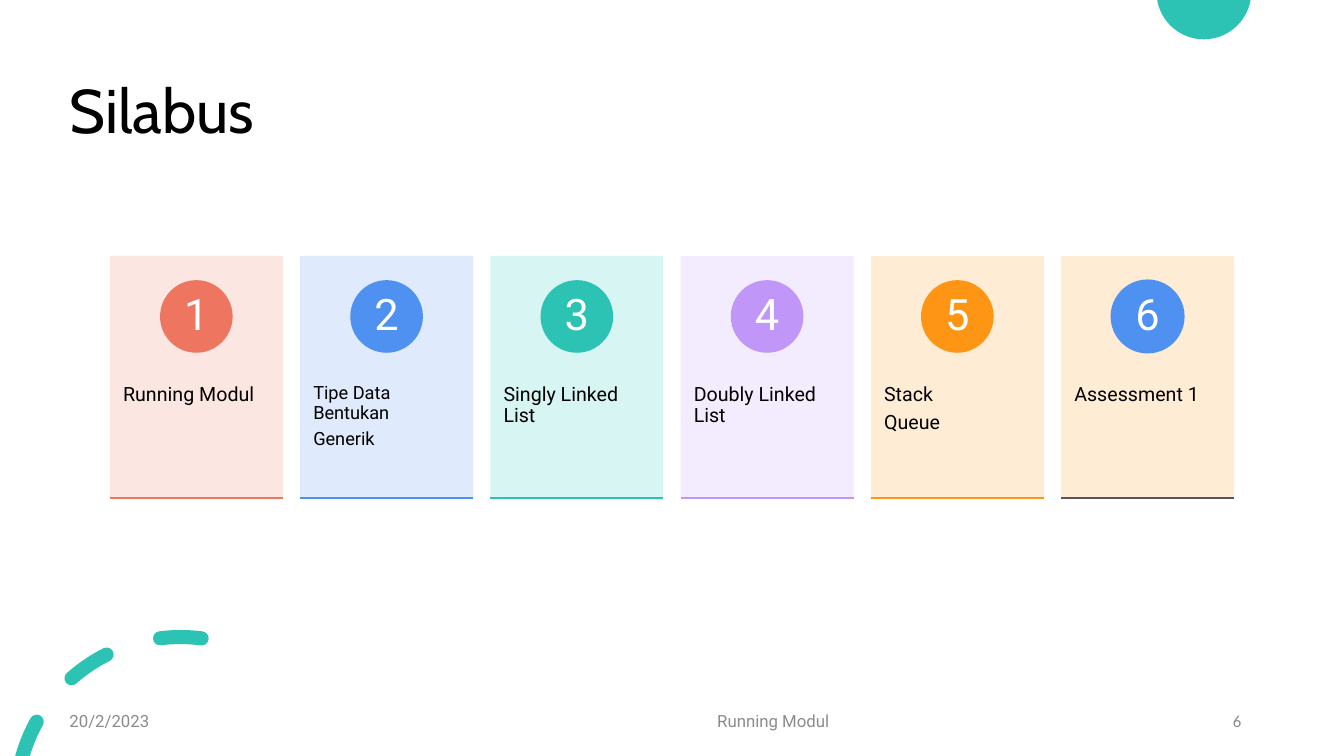
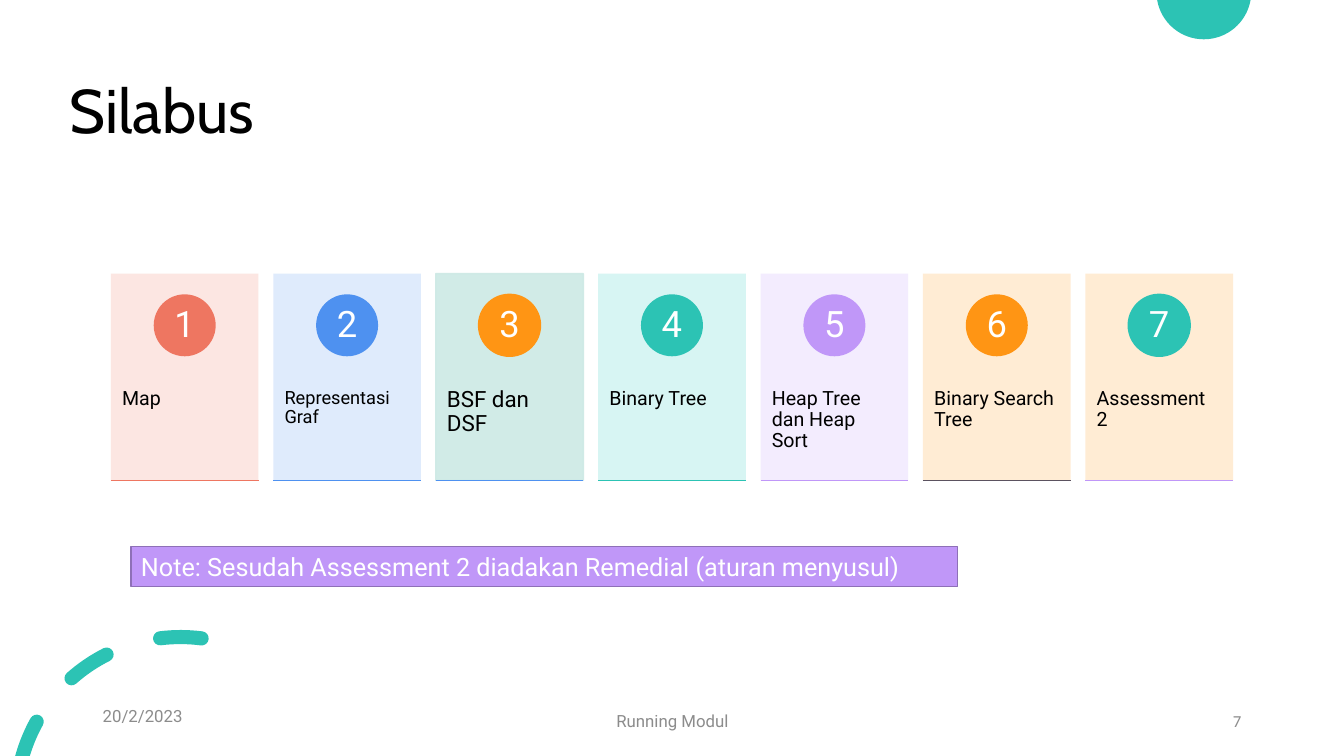
from dataclasses import dataclass
from math import cos, radians, sin, tan

from lxml import etree
from pptx import Presentation
from pptx.dml.color import RGBColor
from pptx.enum.shapes import MSO_CONNECTOR, MSO_SHAPE
from pptx.enum.text import MSO_ANCHOR, PP_ALIGN
from pptx.oxml.ns import qn
from pptx.util import Inches, Pt

RECT, OVAL = MSO_SHAPE.RECTANGLE, MSO_SHAPE.OVAL
STRAIGHT = MSO_CONNECTOR.STRAIGHT
TOP, MIDDLE = MSO_ANCHOR.TOP, MSO_ANCHOR.MIDDLE
LEFT, CENTER, RIGHT = PP_ALIGN.LEFT, PP_ALIGN.CENTER, PP_ALIGN.RIGHT

BLANK_LAYOUT = 6
SLIDE_W, SLIDE_H = 13.33, 7.5
ROW_MIDDLE = 3.74


@dataclass(frozen=True)
class Theme:
    heading: str = "Cabin"
    body: str = "Roboto"
    number: str = "Calibri"
    title_size: int = 44
    note_size: int = 18
    card_size: int = 14
    small_card_size: int = 13
    large_card_size: int = 16
    footer_size: int = 12
    black: str = "000000"
    white: str = "FFFFFF"
    grey: str = "8C8C8C"
    slate: str = "5B5260"
    coral: str = "EE7661"
    blue: str = "4E91F0"
    teal: str = "2CC3B4"
    violet: str = "C097F8"
    orange: str = "FF9514"
    plum: str = "8E70B7"
    pale_coral: str = "FCE4DF"
    pale_blue: str = "DCE9FC"
    pale_teal: str = "D3F5F2"
    pale_violet: str = "F2EAFE"
    pale_orange: str = "FFEAD0"
    sage: str = "CDE9E5"
    tint_opacity: int = 90


T = Theme()


@dataclass(frozen=True)
class Card:
    lines: tuple
    tint: str
    badge: str
    rule: str
    size: int = T.card_size
    frame: str = None
    ring: str = None


FIRST_HALF = [
    Card(("Running Modul",), T.pale_coral, T.coral, T.coral),
    Card(("Tipe Data Bentukan", "Generik"), T.pale_blue, T.blue, T.blue,
         size=T.small_card_size),
    Card(("Singly Linked List",), T.pale_teal, T.teal, T.teal),
    Card(("Doubly Linked List",), T.pale_violet, T.violet, T.violet),
    Card(("Stack", "Queue"), T.pale_orange, T.orange, T.orange),
    Card(("Assessment 1",), T.pale_orange, T.blue, T.slate, ring=T.blue),
]
SECOND_HALF = [
    Card(("Map",), T.pale_coral, T.coral, T.coral),
    Card(("Representasi Graf",), T.pale_blue, T.blue, T.blue,
         size=T.small_card_size),
    Card(("BSF dan DSF",), T.sage, T.orange, T.blue,
         size=T.large_card_size, frame=T.sage, ring=T.orange),
    Card(("Binary Tree",), T.pale_teal, T.teal, T.teal),
    Card(("Heap Tree dan Heap Sort",), T.pale_violet, T.violet, T.violet),
    Card(("Binary Search Tree",), T.pale_orange, T.orange, T.slate),
    Card(("Assessment 2",), T.pale_orange, T.teal, T.violet, ring=T.teal),
]


def rgb(color):
    return RGBColor.from_string(color)


def paint(sp, fill, line=None, opacity=100):
    sp.shadow.inherit = False
    sp.fill.solid()
    sp.fill.fore_color.rgb = rgb(fill)
    if line:
        sp.line.color.rgb = rgb(line)
        sp.line.width = Pt(1)
    else:
        sp.line.fill.background()
    if opacity < 100:
        for clr in sp._element.spPr.iter(qn("a:srgbClr")):
            etree.SubElement(clr, qn("a:alpha"), val=str(opacity * 1000))


def write(sp, lines, size, color, font=T.body, align=LEFT, anchor=MIDDLE,
          margins=(0.1, 0.05, 0.1, 0.05), spacing=1.0, after=0):
    tf = sp.text_frame
    tf.word_wrap = True
    tf.vertical_anchor = anchor
    (tf.margin_left, tf.margin_top,
     tf.margin_right, tf.margin_bottom) = map(Inches, margins)
    tf.text = "\n".join(lines)
    for p in tf.paragraphs:
        p.alignment = align
        p.line_spacing = spacing
        p.space_after = Pt(after)
        p.font.name = font
        p.font.size = Pt(size)
        p.font.color.rgb = rgb(color)


def add_block(s, kind, x, y, w, h, fill, line=None, opacity=100):
    sp = s.shapes.add_shape(kind, Inches(x), Inches(y), Inches(w), Inches(h))
    paint(sp, fill, line, opacity)
    return sp


def add_text(s, x, y, w, h, text, size, color, **style):
    sp = s.shapes.add_textbox(Inches(x), Inches(y), Inches(w), Inches(h))
    write(sp, [text], size, color, **style)


def add_rule(s, x, y, w, color):
    line = s.shapes.add_connector(
        STRAIGHT, Inches(x), Inches(y), Inches(x + w), Inches(y))
    line.line.color.rgb = rgb(color)
    line.line.width = Pt(1)
    etree.SubElement(line._element.spPr, qn("a:effectLst"))


def polar(cx, cy, radius, angle):
    a = radians(angle)
    return cx + radius * cos(a), cy + radius * sin(a)


def arc(cx, cy, radius, start, end, pieces=1):
    step = (end - start) / pieces
    reach = radius * 4 / 3 * tan(radians(step) / 4)
    points = [polar(cx, cy, radius, start)]
    for i in range(pieces):
        a, b = start + step * i, start + step * (i + 1)
        last = polar(cx, cy, radius, b)
        points += [polar(*points[-1], reach, a + 90),
                   polar(*last, reach, b - 90), last]
    return points


def curved_dash(cx, cy, radius, half, start, end):
    return (arc(cx, cy, radius + half, start, end)
            + arc(*polar(cx, cy, radius, end), half, end, end + 180, 2)[1:]
            + arc(cx, cy, radius - half, end, start)[1:]
            + arc(*polar(cx, cy, radius, start), half,
                  start + 180, start + 360, 2)[1:])


def cut_dash(cx, cy, radius, half, outer_start, inner_start, end):
    return (arc(cx, cy, radius + half, outer_start, end)
            + arc(*polar(cx, cy, radius, end), half, end, end + 180, 2)[1:]
            + arc(cx, cy, radius - half, end, inner_start)[1:])


def add_curves(s, contours, color):
    scaled = [[(Inches(x), Inches(y)) for x, y in c] for c in contours]
    builder = s.shapes.build_freeform(*scaled[0][0])
    for i, points in enumerate(scaled):
        if i:
            builder.move_to(*points[0])
        builder.add_line_segments(points[1:], close=True)
    sp = builder.convert_to_shape()
    lines = list(sp._element.iter(qn("a:lnTo")))
    for i in range(0, len(lines), 3):
        curve = etree.Element(qn("a:cubicBezTo"))
        lines[i].addprevious(curve)
        for line in lines[i:i + 3]:
            curve.append(line[0])
            line.getparent().remove(line)
    paint(sp, color)


def add_decoration(s):
    add_curves(s, [arc(11.94, -0.08, 0.47, 9.8, 170.2, 2)], T.teal)
    ring = (1.79, 7.95, 1.63, 0.07)
    add_curves(s, [cut_dash(*ring, 195.35, 196.77, 209),
                   curved_dash(*ring, 228.5, 243.3),
                   curved_dash(*ring, 262.9, 277.4)], T.teal)


def add_card(s, number, card, x, y, w, h):
    body = add_block(s, RECT, x, y, w, h, card.tint, card.frame,
                     T.tint_opacity)
    write(body, card.lines, card.size, T.black, anchor=TOP,
          margins=(0.076 * w, 0.38 * h + 0.36, 0.1 * w, 0.1),
          spacing=0.9, after=0.36 * card.size)
    d = 0.3 * h
    badge = add_block(s, OVAL, x + (w - d) / 2, y + 0.1 * h, d, d,
                      card.badge, card.ring)
    write(badge, [str(number)], round(18 * w), T.white, align=CENTER,
          margins=(0, 0, 0, 0), spacing=0.9)
    add_rule(s, x, y + h, w, card.rule)


def add_card_row(s, cards, left):
    n = len(cards)
    w = (SLIDE_W - 2 * left) / (n + 0.1 * (n - 1))
    h = 1.4 * w
    for i, card in enumerate(cards):
        add_card(s, i + 1, card, left + 1.1 * w * i, ROW_MIDDLE - h / 2, w, h)


def add_footer(s, page, date_at, label_x):
    add_text(s, 9.41, 6.95, 3, 0.4, str(page), T.footer_size, T.grey,
             font=T.number, align=RIGHT)
    add_text(s, *date_at, 1.69, 0.4, "20/2/2023", T.footer_size, T.grey)
    add_text(s, label_x, 6.95, 4.5, 0.4, "Running Modul", T.footer_size,
             T.grey, align=CENTER)


def add_syllabus(prs, page, cards, row_left, date_at, label_x):
    s = prs.slides.add_slide(prs.slide_layouts[BLANK_LAYOUT])
    add_decoration(s)
    add_text(s, 0.59, 0.4, 11.5, 1.45, "Silabus", T.title_size, T.black,
             font=T.heading, spacing=0.9)
    add_card_row(s, cards, row_left)
    add_footer(s, page, date_at, label_x)
    return s


def add_note(s, text):
    sp = add_block(s, RECT, 1.3, 5.42, 8.2, 0.4, T.violet, T.plum)
    write(sp, [text], T.note_size, T.white)


def main():
    prs = Presentation()
    prs.slide_width, prs.slide_height = Inches(SLIDE_W), Inches(SLIDE_H)
    add_syllabus(prs, 6, FIRST_HALF, 1.09, (0.59, 6.95), 5.42)
    s = add_syllabus(prs, 7, SECOND_HALF, 1.1, (0.92, 6.9), 4.42)
    add_note(s, "Note: Sesudah Assessment 2 diadakan Remedial "
                "(aturan menyusul)")
    prs.save("out.pptx")


if __name__ == "__main__":
    main()
